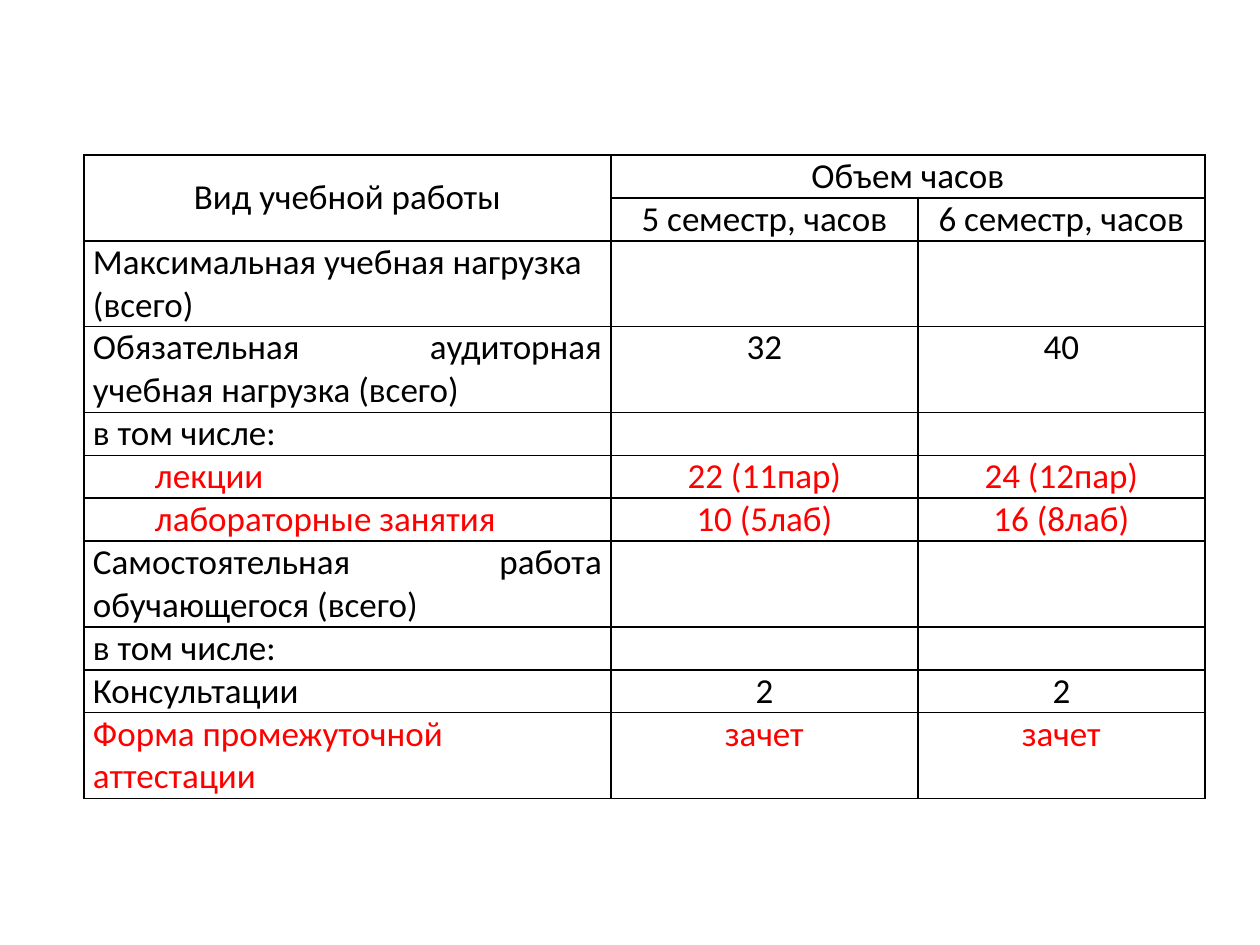
from lxml.etree import SubElement
from pptx import Presentation
from pptx.dml.color import RGBColor
from pptx.enum.text import MSO_ANCHOR, PP_ALIGN
from pptx.oxml.ns import qn
from pptx.util import Emu, Pt

BLACK = RGBColor(0x00, 0x00, 0x00)
RED = RGBColor(0xFF, 0x00, 0x00)
EMU_PER_PIXEL = 914400 / 126

LEFT, CENTER, JUSTIFY = PP_ALIGN.LEFT, PP_ALIGN.CENTER, PP_ALIGN.JUSTIFY
LINE_HEIGHT, TWO_LINES = 42, 85
COLUMN_WIDTHS = [527, 307, 287]
HEADER_ROWS = 2
INDENT = 62

# Label, fifth semester, sixth semester, label alignment, colour, indent, row height
WORKLOAD = [
    ("Вид учебной работы", "Объем часов", "", CENTER, BLACK, 0, LINE_HEIGHT),
    ("", "5 семестр, часов", "6 семестр, часов", CENTER, BLACK, 0, LINE_HEIGHT),
    ("Максимальная учебная нагрузка (всего)", "", "", LEFT, BLACK, 0, TWO_LINES),
    ("Обязательная аудиторная учебная нагрузка (всего)", "32", "40",
     JUSTIFY, BLACK, 0, TWO_LINES),
    ("в том числе:", "", "", JUSTIFY, BLACK, 0, LINE_HEIGHT),
    ("лекции", "22 (11пар)", "24 (12пар)", JUSTIFY, RED, INDENT, LINE_HEIGHT),
    ("лабораторные занятия", "10 (5лаб)", "16 (8лаб)", JUSTIFY, RED, INDENT, LINE_HEIGHT),
    ("Самостоятельная работа обучающегося (всего)", "", "", JUSTIFY, BLACK, 0, TWO_LINES),
    ("в том числе:", "", "", JUSTIFY, BLACK, 0, LINE_HEIGHT),
    ("Консультации", "2", "2", JUSTIFY, BLACK, 0, LINE_HEIGHT),
    ("Форма промежуточной аттестации", "зачет", "зачет", LEFT, RED, 0, TWO_LINES),
]


def pixels(count):
    """Turn whole pixels into EMU."""
    return Emu(round(count * EMU_PER_PIXEL))


class SlideBuilder:
    """Holds the text style and the current slide."""

    font_name = "Calibri"
    font_size = Pt(20)
    border_width = Pt(1)
    side_margin = 9

    def __init__(self, slide):
        """Keep the slide to draw on."""
        self.slide = slide

    def table(self, left, top, column_widths, row_heights):
        """Add a plain table with the given columns and rows."""
        frame = self.slide.shapes.add_table(
            len(row_heights), len(column_widths), pixels(left), pixels(top),
            pixels(sum(column_widths)), pixels(sum(row_heights)))
        table = frame.table
        table.first_row = table.horz_banding = False
        for column, width in zip(table.columns, column_widths):
            column.width = pixels(width)
        for row, height in zip(table.rows, row_heights):
            row.height = pixels(height)
        return table

    def cell(self, cell, text, alignment, color, indent=0, anchor=MSO_ANCHOR.TOP):
        """Fill in and format one table cell."""
        cell.margin_left = cell.margin_right = pixels(self.side_margin)
        cell.margin_top = cell.margin_bottom = 0
        cell.vertical_anchor = anchor
        self.borders(cell)
        cell.fill.background()
        if not text:
            return
        cell.text_frame.text = text
        para = cell.text_frame.paragraphs[0]
        para.alignment = alignment
        if indent:
            properties = para._p.get_or_add_pPr()
            properties.set("marL", "0")
            properties.set("indent", str(pixels(indent)))
        for span in para.runs:
            span.font.name = self.font_name
            span.font.size = self.font_size
            span.font.bold = False
            span.font.color.rgb = color

    def borders(self, cell):
        """Draw a black line on all four sides of a cell."""
        properties = cell._tc.get_or_add_tcPr()
        for side in ("lnL", "lnR", "lnT", "lnB"):
            line = SubElement(properties, qn(f"a:{side}"), w=str(self.border_width))
            fill = SubElement(line, qn("a:solidFill"))
            SubElement(fill, qn("a:srgbClr"), val=str(BLACK))


def add_workload_table(builder):
    """Add the table of study hours by semester."""
    table = builder.table(84, 155, COLUMN_WIDTHS, [row[-1] for row in WORKLOAD])
    for row_index, row in enumerate(WORKLOAD):
        label, fifth, sixth, alignment, color, indent, _ = row
        anchor = MSO_ANCHOR.MIDDLE if row_index < HEADER_ROWS else MSO_ANCHOR.TOP
        builder.cell(table.cell(row_index, 0), label, alignment, color, indent, anchor)
        for column_index, hours in enumerate((fifth, sixth), start=1):
            builder.cell(table.cell(row_index, column_index), hours, CENTER, color,
                         anchor=anchor)
    table.cell(0, 0).merge(table.cell(1, 0))
    table.cell(0, 1).merge(table.cell(0, 2))


def main():
    """Build and save the deck."""
    deck = Presentation()
    deck.slide_width, deck.slide_height = pixels(1260), pixels(945)
    blank_layout = deck.slide_layouts[6]
    add_workload_table(SlideBuilder(deck.slides.add_slide(blank_layout)))
    deck.save("out.pptx")


main()
